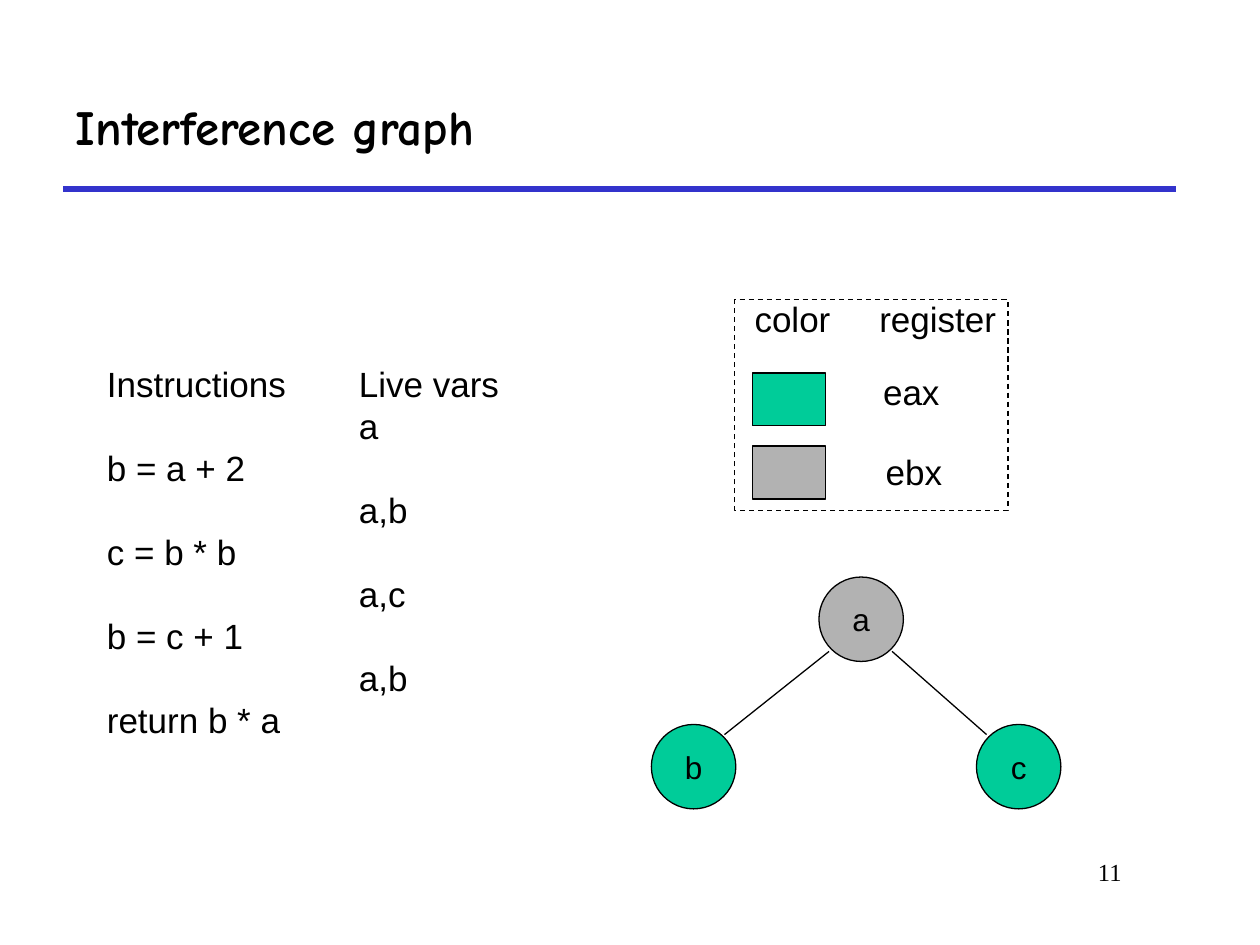
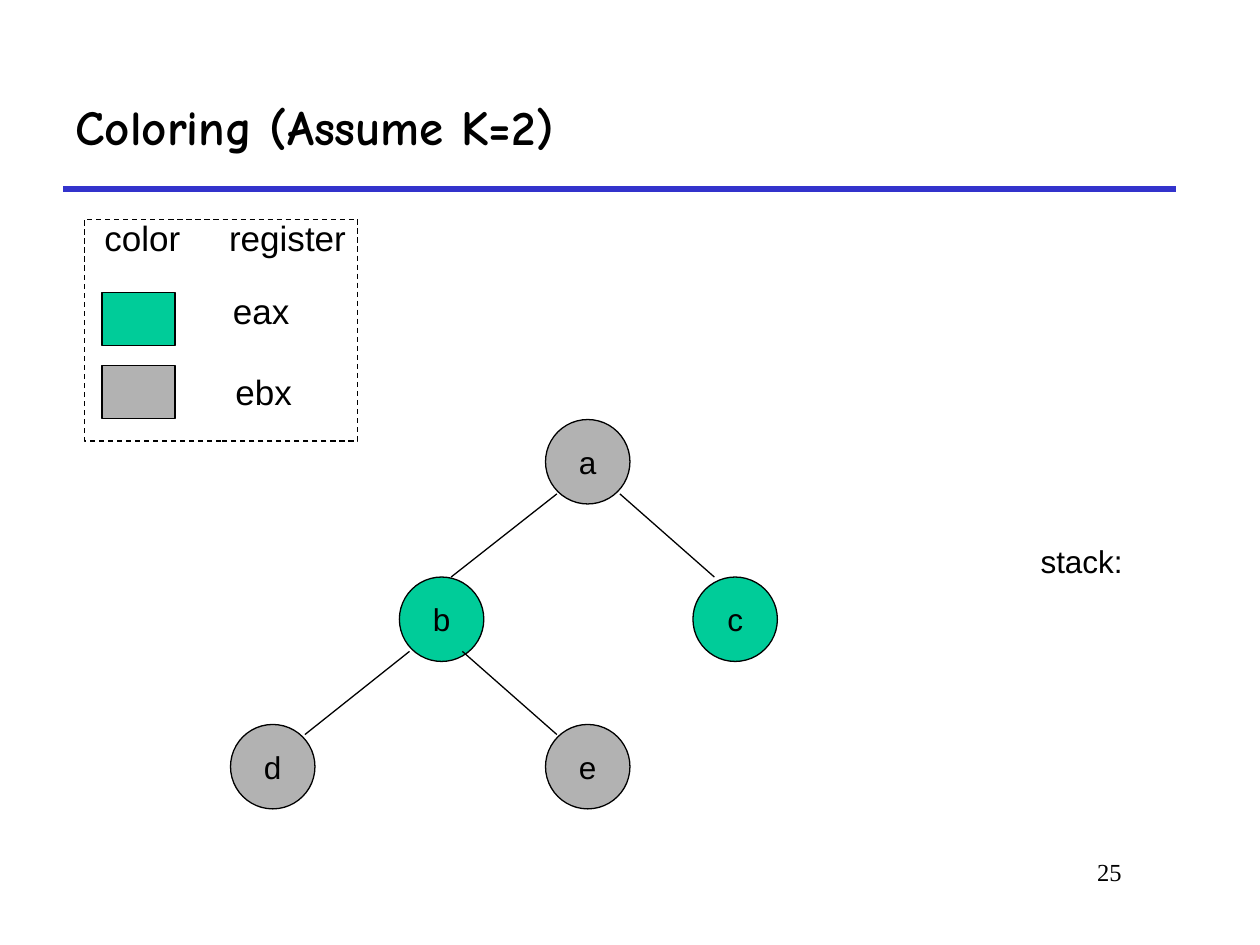
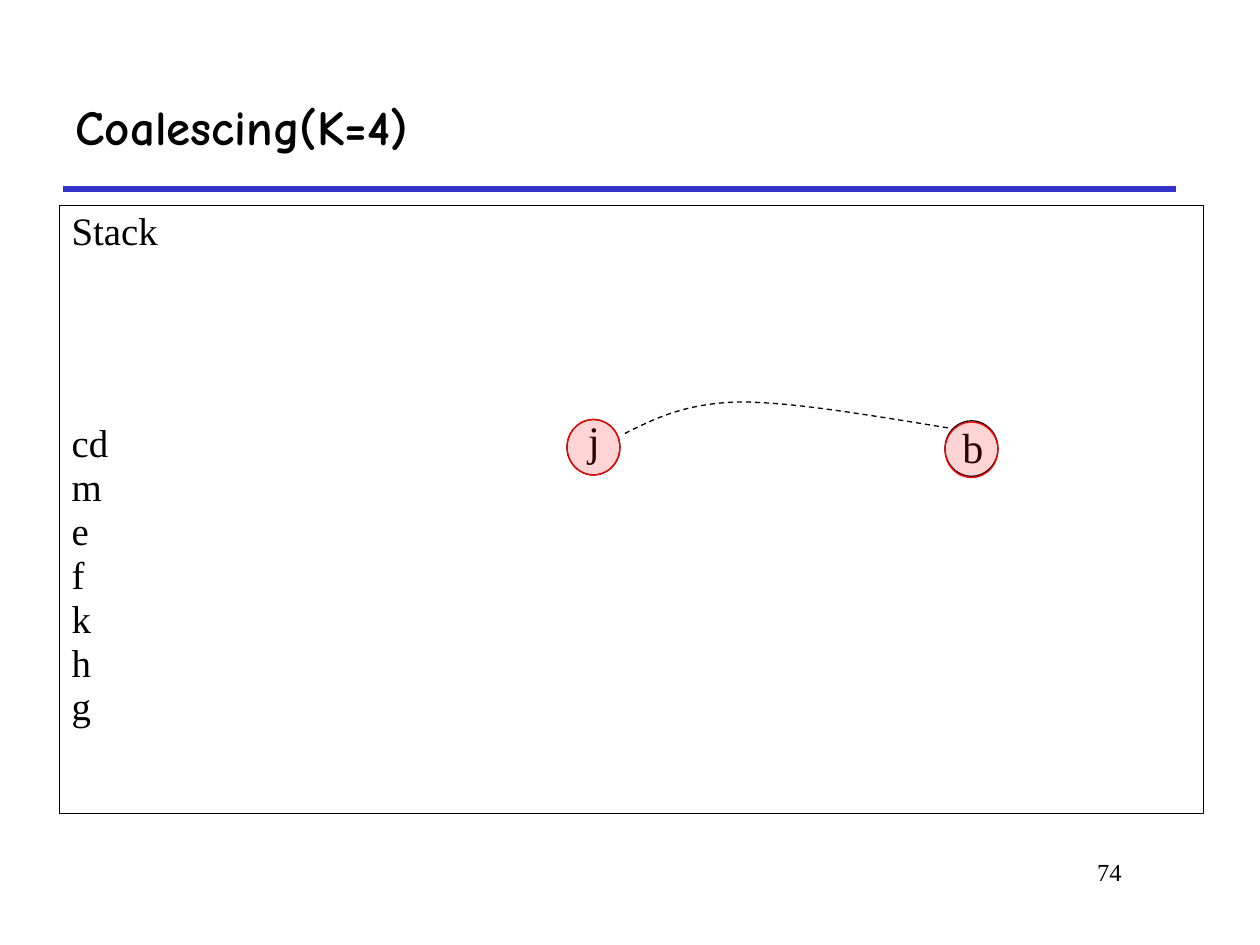
from pptx import Presentation
from pptx.dml.color import RGBColor
from pptx.enum.dml import MSO_LINE
from pptx.enum.shapes import MSO_CONNECTOR, MSO_SHAPE
from pptx.enum.text import MSO_ANCHOR as Anchor, PP_ALIGN as Align
from pptx.oxml.ns import qn
from pptx.util import Inches, Pt
from lxml.etree import SubElement

COLORS = {"ink": "000000", "rule": "3333CC", "eax": "00CC99", "ebx": "B2B2B2", "mark": "FF0000"}
FONTS = {
    "title": {"name": "Comic Neue", "size": Pt(28), "bold": True},
    "body": {"name": "Arial", "size": Pt(20)},
    "node": {"name": "Arial", "size": Pt(18)},
    "number": {"name": "Times New Roman", "size": Pt(14)},
    "stack": {"name": "Times New Roman", "size": Pt(22.2)},
    "letter": {"name": "Times New Roman", "size": Pt(24)},
}
NODE_SIZE = 0.67


def rgb(color):
    """Return the named palette colour."""
    return RGBColor.from_string(COLORS[color])


def bezier(start, first, second, end, steps=16):
    """Return points along a cubic curve, without its start."""
    points = []
    for step in range(1, steps + 1):
        t = step / steps
        weights = ((1 - t) ** 3, 3 * t * (1 - t) ** 2, 3 * t * t * (1 - t), t ** 3)
        points.append(tuple(sum(w * point[axis] for w, point in zip(weights, (start, first, second, end)))
                            for axis in (0, 1)))
    return points


class Slides:
    """Hold the deck style and the current slide."""

    def __init__(self):
        """Start an empty deck."""
        self.deck = Presentation()
        self.deck.slide_width, self.deck.slide_height = Inches(10), Inches(7.5)
        self.page = None

    def start(self, title, number):
        """Add a slide with title, rule and number."""
        self.page = self.deck.slides.add_slide(self.deck.slide_layouts[5])
        box = self.page.shapes.title
        place = {"left": 0.5, "top": 0.5, "width": 8.83, "height": 1}
        for name, value in place.items():
            setattr(box, name, Inches(value))
        self.fill_text(box, [title], "title", anchor=Anchor.MIDDLE, wrap=True)
        self.line((0.5, 1.5), (9.33, 1.5), "rule", 3)
        self.text(6.92, 6.75, 2.08, 0.5, [str(number)], "number", align=Align.RIGHT, wrap=True)

    def fill_text(self, box, lines, style, align=Align.LEFT, anchor=Anchor.TOP, wrap=False, tab=None):
        """Fill a shape with formatted lines."""
        frame = box.text_frame
        frame.word_wrap, frame.vertical_anchor = wrap, anchor
        for index, line in enumerate(lines):
            para = frame.add_paragraph() if index else frame.paragraphs[0]
            para.alignment = align
            span = para.add_run()
            span.text = line
            span.font.color.rgb = rgb("ink")
            for name, value in FONTS[style].items():
                setattr(span.font, name, value)
            if tab:
                stops = SubElement(para._p.get_or_add_pPr(), qn("a:tabLst"))
                SubElement(stops, qn("a:tab"), pos=str(Inches(tab)), algn="l")

    def text(self, left, top, width, height, lines, style="body", **layout):
        """Add a text box."""
        box = self.page.shapes.add_textbox(*map(Inches, (left, top, width, height)))
        self.fill_text(box, lines, style, **layout)

    def outline(self, shape, fill=None, line="ink", dash=False):
        """Set fill and thin outline of a shape."""
        shape.shadow.inherit = False
        if fill:
            shape.fill.solid()
            shape.fill.fore_color.rgb = rgb(fill)
        else:
            shape.fill.background()
        shape.line.color.rgb = rgb(line)
        shape.line.width = Pt(0.75)
        if dash:
            shape.line.dash_style = MSO_LINE.DASH

    def shape(self, kind, left, top, width, height, **look):
        """Add an outlined preset shape."""
        shape = self.page.shapes.add_shape(kind, *map(Inches, (left, top, width, height)))
        self.outline(shape, **look)
        return shape

    def line(self, start, end, color="ink", width=0.75):
        """Add a straight line."""
        line = self.page.shapes.add_connector(MSO_CONNECTOR.STRAIGHT, *map(Inches, start + end))
        line.line.color.rgb = rgb(color)
        line.line.width = Pt(width)
        SubElement(line._element.spPr, qn("a:effectLst"))

    def curve(self, points):
        """Add a dashed open outline through points."""
        corners = [tuple(map(Inches, point)) for point in points]
        builder = self.page.shapes.build_freeform(*corners[0], scale=1.0)
        builder.add_line_segments(corners[1:], close=False)
        self.outline(builder.convert_to_shape(), dash=True)

    def graph(self, nodes, edges):
        """Add coloured nodes and the lines between them."""
        for name, left, top, register in nodes:
            node = self.shape(MSO_SHAPE.OVAL, left, top, NODE_SIZE, NODE_SIZE, fill=register)
            self.fill_text(node, [name], "node", align=Align.CENTER, anchor=Anchor.MIDDLE)
        for start, end in edges:
            self.line(start, end)

    def legend(self, left, top, height):
        """Add the key from colours to registers."""
        for row, register in enumerate(("eax", "ebx")):
            self.shape(MSO_SHAPE.RECTANGLE, left + 0.14, top + 0.58 * (row + 1), 0.58, 0.42, fill=register)
            self.text(left + 1.08 + 0.02 * row, top + 0.51 + 0.64 * row, 0.65, 0.44, [register])
        self.text(left + 0.06, top - 0.07, 2.3, 0.44, ["color\tregister"], wrap=True, tab=0.99)
        self.shape(MSO_SHAPE.RECTANGLE, left, top, 2.17, height, dash=True)

    def stack(self, heading, names):
        """Add the framed stack listing with a gap below its heading."""
        box = self.shape(MSO_SHAPE.RECTANGLE, 0.47, 1.63, 9.08, 4.83)
        self.fill_text(box, [heading] + names, "stack", wrap=True)
        for index, para in enumerate(box.text_frame.paragraphs):
            para.line_spacing = 0.9
            para.space_before = Pt(97.4 if index == 1 else 1.1)

    def marked_node(self, name, left, top, label, shift):
        """Add a lettered node under a translucent red mark."""
        self.shape(MSO_SHAPE.OVAL, left, top, 0.42, 0.44)
        self.text(*label, [name], "letter")
        mark = self.shape(MSO_SHAPE.OVAL, left, top + shift, 0.42, 0.44, fill="mark", line="mark")
        color = mark._element.spPr.find(qn("a:solidFill")).find(qn("a:srgbClr"))
        SubElement(color, qn("a:alpha"), val="17000")


def main():
    """Build the three slides."""
    slides = Slides()

    slides.start("Interference graph", 11)
    slides.text(0.75, 2.83, 3.77, 3.1, [
        "Instructions\tLive vars", "\ta", "b = a + 2", "\ta,b", "c = b * b",
        "\ta,c", "b = c + 1", "\ta,b", "return b * a"], wrap=True, tab=2)
    slides.graph(
        [("a", 6.5, 4.58, "ebx"), ("c", 7.75, 5.75, "eax"), ("b", 5.17, 5.75, "eax")],
        [((6.58, 5.17), (5.75, 5.83)), ((7.08, 5.17), (7.83, 5.83))])
    slides.legend(5.83, 2.38, 1.67)

    slides.start("Coloring (Assume K=2)", 25)
    slides.legend(0.67, 1.74, 1.76)
    slides.graph(
        [("b", 3.17, 4.58, "eax"), ("e", 4.33, 5.75, "ebx"), ("d", 1.83, 5.75, "ebx"),
         ("a", 4.33, 3.33, "ebx"), ("c", 5.5, 4.58, "eax")],
        [((3.25, 5.17), (2.42, 5.83)), ((3.67, 5.17), (4.42, 5.83)),
         ((4.42, 3.92), (3.58, 4.58)), ((4.92, 3.92), (5.67, 4.58))])
    slides.text(8.16, 4.25, 0.85, 1.9, ["stack:"], "node", align=Align.CENTER)

    slides.start("Coalescing(K=4)", 74)
    slides.stack("Stack", ["cd", "m", "e", "f", "k", "h", "g"])
    slides.marked_node("b", 7.5, 3.34, (7.54, 3.3, 0.36, 0.5), 0.01)
    slides.marked_node("j", 4.5, 3.33, (4.57, 3.24, 0.29, 0.5), 0)
    start, middle, end = (4.96, 3.44), (5.87, 3.19), (7.55, 3.4)
    slides.curve([start] + bezier(start, (5.2, 3.32), (5.44, 3.2), middle)
                 + bezier(middle, (6.3, 3.19), (6.93, 3.3), end))

    slides.deck.save("out.pptx")


if __name__ == "__main__":
    main()
